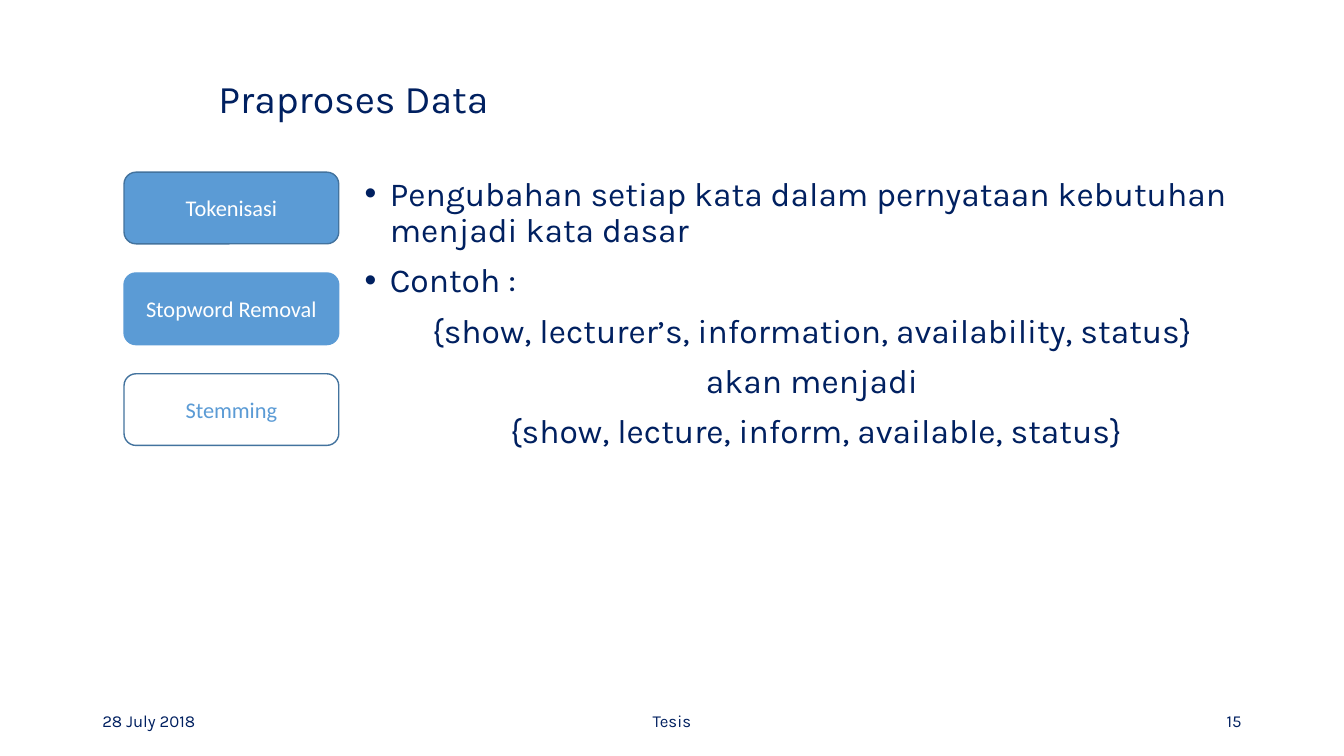
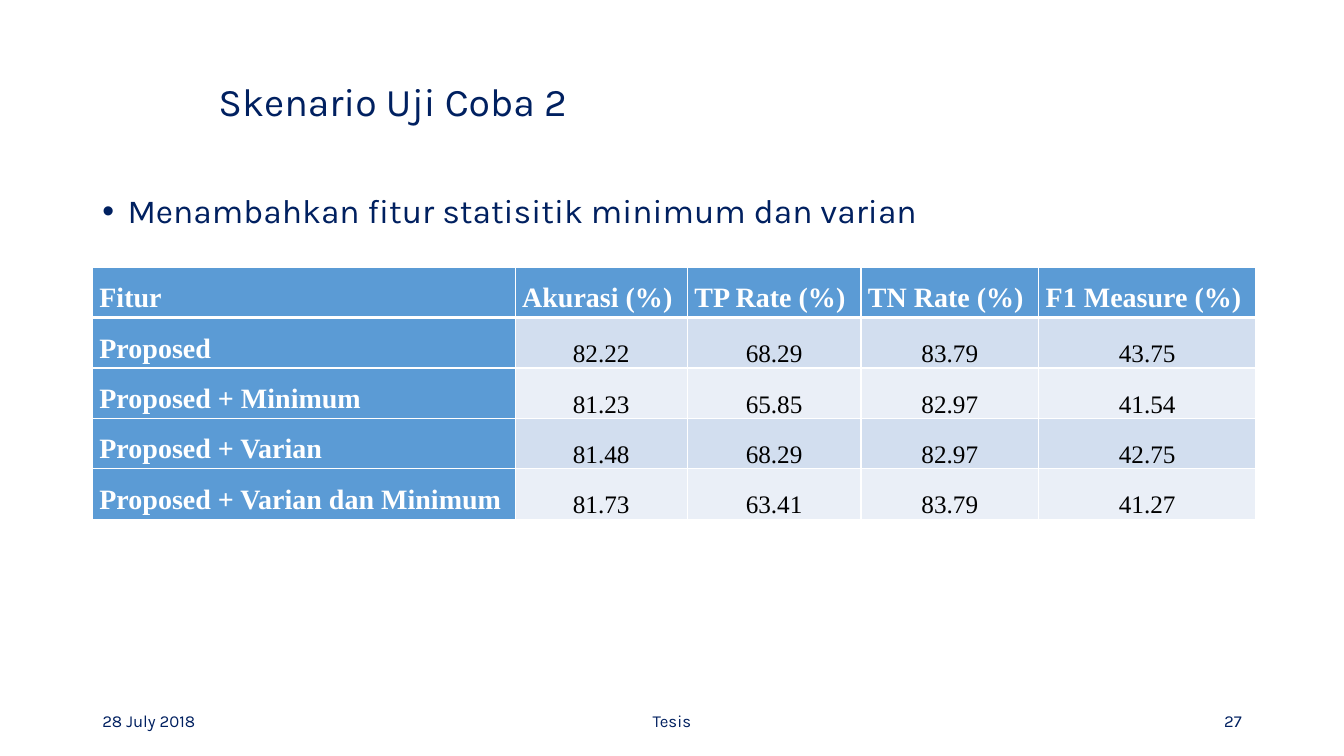
from dataclasses import dataclass

from lxml import etree
from pptx import Presentation
from pptx.dml.color import RGBColor
from pptx.enum import shapes, text
from pptx.oxml import ns
from pptx.util import Pt

ALIGN = text.PP_ALIGN
ANCHOR = text.MSO_ANCHOR


@dataclass(frozen=True)
class Theme:
    navy: str = "002060"
    blue: str = "5B9BD5"
    outline: str = "43739E"
    white: str = "FFFFFF"
    black: str = "000000"
    bands: tuple = ("D2DEEF", "EAEFF7")
    main_font: str = "Karla"
    step_font: str = "Calibri"
    table_font: str = "Times New Roman"
    title_size: float = 28
    body_size: float = 24
    step_size: float = 16
    footer_size: float = 12
    heading_size: float = 20
    value_size: float = 18


THEME = Theme()
SLIDE_WIDTH, SLIDE_HEIGHT = 960, 540
MARGIN = 66


def points(*lengths):
    return [Pt(length) for length in lengths]


def set_attributes(target, values):
    for name, value in values.items():
        setattr(target, name, value)


def write(paragraph, words, font, size, color, bold=False, **layout):
    set_attributes(paragraph, layout)
    run = paragraph.add_run()
    run.text = words
    set_attributes(run.font, {"name": font, "size": Pt(size), "bold": bold})
    run.font.color.rgb = RGBColor.from_string(color)


def paint(fill, color):
    fill.solid()
    fill.fore_color.rgb = RGBColor.from_string(color)


def add_text_frame(slide, box, anchor=ANCHOR.MIDDLE):
    frame = slide.shapes.add_textbox(*points(*box)).text_frame
    set_attributes(frame, {"word_wrap": True, "vertical_anchor": anchor})
    return frame


def add_bullet(paragraph, indent=18):
    properties = paragraph._p.get_or_add_pPr()
    properties.set("marL", str(Pt(indent)))
    properties.set("indent", str(-Pt(indent)))
    etree.SubElement(properties, ns.qn("a:buFont")).set("typeface", "Arial")
    etree.SubElement(properties, ns.qn("a:buChar")).set("char", "•")


def add_title(slide, box, words):
    paragraph = add_text_frame(slide, box).paragraphs[0]
    write(paragraph, words, THEME.main_font, THEME.title_size, THEME.navy,
          line_spacing=0.9)


def add_body(slide, box, bullets, examples=()):
    """Bulleted lines followed by centred example lines."""
    frame = add_text_frame(slide, box, ANCHOR.TOP)
    for index, words in enumerate([*bullets, *examples]):
        paragraph = frame.add_paragraph() if index else frame.paragraphs[0]
        is_bullet = index < len(bullets)
        if is_bullet:
            add_bullet(paragraph)
        write(paragraph, words, THEME.main_font, THEME.body_size, THEME.navy,
              line_spacing=0.9, space_before=Pt(10 if index else 0),
              alignment=ALIGN.LEFT if is_bullet else ALIGN.CENTER)


def add_footer(slide, box, number):
    left, top, width, height = box
    side, middle = 216, 324
    parts = [
        ("28 July 2018", left, side, ALIGN.LEFT),
        ("Tesis", left + (width - middle) / 2, middle, ALIGN.CENTER),
        (str(number), left + width - side, side, ALIGN.RIGHT),
    ]
    for words, part_left, part_width, alignment in parts:
        frame = add_text_frame(slide, (part_left, top, part_width, height))
        write(frame.paragraphs[0], words, THEME.main_font, THEME.footer_size,
              THEME.navy, alignment=alignment)


def add_steps(slide, box, steps):
    """Stack of step buttons; each step is (label, fill, line, text colour)."""
    left, top, width, height = box
    step_height = 51.2
    pitch = (height - step_height) / (len(steps) - 1)
    group = slide.shapes.add_group_shape()
    for index, (label, fill, line, color) in enumerate(steps):
        shape = group.shapes.add_shape(
            shapes.MSO_SHAPE.ROUNDED_RECTANGLE,
            *points(left, top + index * pitch, width, step_height))
        shape.shadow.inherit = False
        paint(shape.fill, fill)
        paint(shape.line.fill, line)
        shape.line.width = Pt(1)
        set_attributes(shape.text_frame, {
            "word_wrap": True, "vertical_anchor": ANCHOR.MIDDLE})
        write(shape.text_frame.paragraphs[0], label, THEME.step_font,
              THEME.step_size, color, alignment=ALIGN.CENTER)


def add_borders(cell, widths):
    properties = cell._tc.get_or_add_tcPr()
    for index, (side, width) in enumerate(widths.items()):
        line = etree.Element(ns.qn(f"a:ln{side}"), w=str(Pt(width)))
        fill = etree.SubElement(line, ns.qn("a:solidFill"))
        etree.SubElement(fill, ns.qn("a:srgbClr")).set("val", THEME.white)
        properties.insert(index, line)


def add_results(slide, box, column_widths, rows):
    """Results table with a blue heading row and column and banded values."""
    table = slide.shapes.add_table(
        len(rows), len(column_widths), *points(*box)).table
    for column, width in zip(table.columns, column_widths):
        column.width = Pt(width)
    for row_index, row in enumerate(rows):
        for column_index, words in enumerate(row):
            cell = table.cell(row_index, column_index)
            is_heading = row_index == 0 or column_index == 0
            set_attributes(cell, {
                "margin_left": Pt(5), "margin_right": Pt(5),
                "margin_top": 0, "margin_bottom": 0,
                "vertical_anchor": ANCHOR.TOP if is_heading else ANCHOR.BOTTOM})
            paint(cell.fill, THEME.blue if is_heading
                  else THEME.bands[(row_index - 1) % 2])
            add_borders(cell, {
                "L": 1, "R": 1, "T": 3 if row_index == 1 else 1,
                "B": 3 if row_index == 0 else 1})
            write(cell.text_frame.paragraphs[0], words, THEME.table_font,
                  THEME.heading_size if is_heading else THEME.value_size,
                  THEME.white if is_heading else THEME.black,
                  bold=is_heading, line_spacing=1.5,
                  alignment=ALIGN.JUSTIFY if is_heading else ALIGN.CENTER)


def add_base_slide(presentation, title, title_top, number):
    slide = presentation.slides.add_slide(presentation.slide_layouts[6])
    add_title(slide, (149, title_top, 864, 67), title)
    add_footer(slide, (MARGIN, 500.5, SLIDE_WIDTH - 2 * MARGIN, 28.75), number)
    return slide


def build_preprocessing(presentation):
    slide = add_base_slide(presentation, "Praproses Data", 38.2, 15)
    add_body(
        slide, (253.4, 123, 659, 359),
        ["Pengubahan setiap kata dalam pernyataan kebutuhan menjadi kata dasar",
         "Contoh :"],
        ["{show, lecturer’s, information, availability, status} ",
         "akan menjadi ",
         "{show, lecture, inform, available, status}"])
    add_steps(slide, (88.6, 123, 153.4, 195.2), [
        ("Tokenisasi", THEME.blue, THEME.outline, THEME.white),
        ("Stopword Removal", THEME.blue, THEME.blue, THEME.white),
        ("Stemming", THEME.white, THEME.outline, THEME.blue),
    ])


def build_scenario(presentation):
    slide = add_base_slide(presentation, "Skenario Uji Coba 2", 41, 27)
    add_body(slide, (MARGIN, 135.4, 890, 360),
             ["Menambahkan fitur statisitik minimum dan varian"])
    add_results(slide, (MARGIN, 190.8, 831, 166.5), [302, 123, 124, 127, 155], [
        ("Fitur", "Akurasi (%)", "TP Rate (%)", "TN Rate (%)", "F1 Measure (%)"),
        ("Proposed", "82.22", "68.29", "83.79", "43.75"),
        ("Proposed + Minimum", "81.23", "65.85", "82.97", "41.54"),
        ("Proposed + Varian", "81.48", "68.29", "82.97", "42.75"),
        ("Proposed + Varian dan Minimum", "81.73", "63.41", "83.79", "41.27"),
    ])


def main():
    presentation = Presentation()
    set_attributes(presentation, {
        "slide_width": Pt(SLIDE_WIDTH), "slide_height": Pt(SLIDE_HEIGHT)})
    build_preprocessing(presentation)
    build_scenario(presentation)
    presentation.save("out.pptx")


if __name__ == "__main__":
    main()
